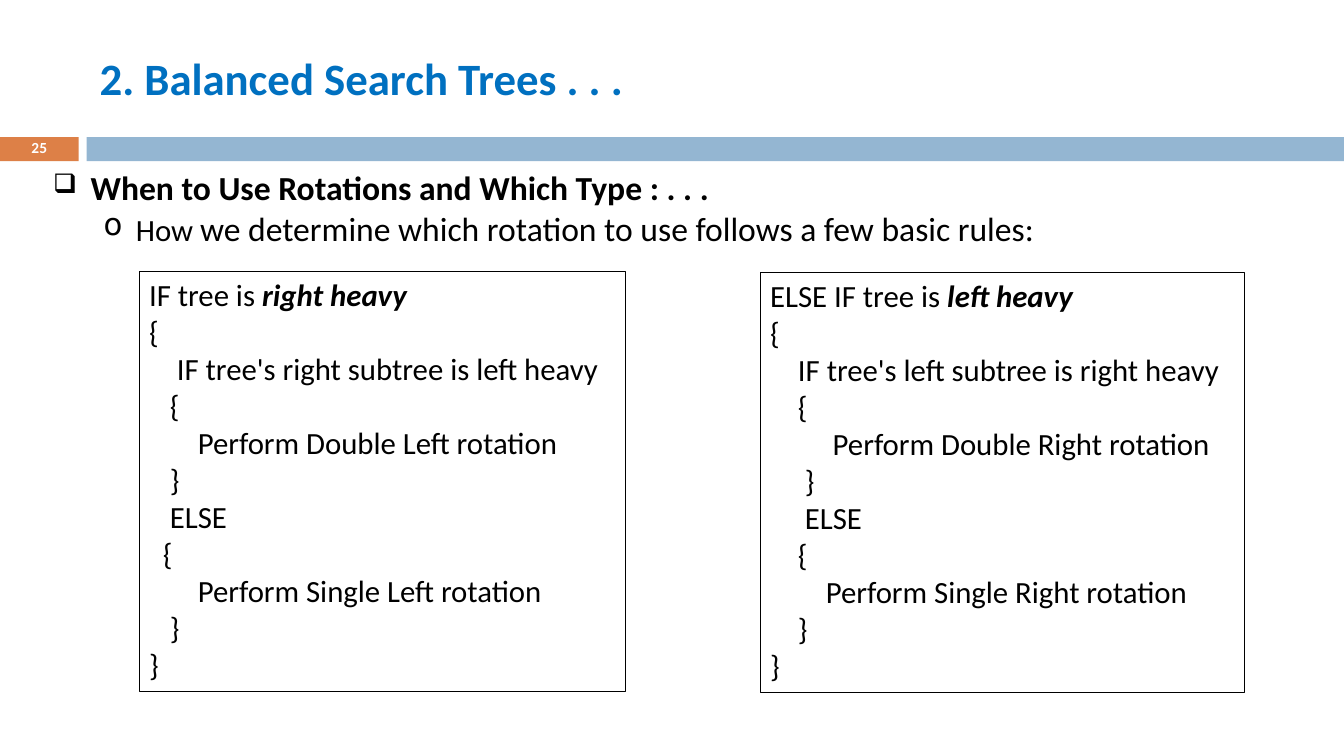
from lxml import etree
from pptx import Presentation
from pptx.dml.color import RGBColor
from pptx.enum.shapes import MSO_SHAPE
from pptx.enum.text import MSO_ANCHOR, PP_ALIGN
from pptx.oxml.ns import qn
from pptx.util import Inches, Pt

RECTANGLE = MSO_SHAPE.RECTANGLE
TOP, MIDDLE = MSO_ANCHOR.TOP, MSO_ANCHOR.MIDDLE
LEFT, CENTER = PP_ALIGN.LEFT, PP_ALIGN.CENTER

WIDTH, HEIGHT = 13.33, 7.28
FONT = "Calibri"
COLORS = {"title": "0070C0", "number": "DD8047", "band": "94B6D2",
          "text": "000000", "light": "FFFFFF"}
CODE_SIZE = 22
INDENT_STEP = 0.069  # inches per code column

# Code lines: (indent columns, text)
RIGHT_HEAVY = [(0, "{"), (4, "IF tree's right subtree is left heavy"), (3, "{"),
               (7, "Perform Double Left rotation"), (3, "}"), (3, "ELSE"),
               (2, "{"), (7, "Perform Single Left rotation"), (3, "}"), (0, "}")]
LEFT_HEAVY = [(0, "{"), (4, "IF tree's left subtree is right heavy"), (4, "{"),
              (9, "Perform Double Right rotation"), (5, "}"), (5, "ELSE"),
              (4, "{"), (8, "Perform Single Right rotation"), (4, "}"), (0, "}")]


def add_run(paragraph, text, size=24, color="text", bold=False, italic=False):
    run = paragraph.add_run()
    run.text = text
    font = run.font
    font.name, font.size = FONT, Pt(size)
    font.bold, font.italic = bold, italic
    font.color.rgb = RGBColor.from_string(COLORS[color])


def next_paragraph(frame, margin=0, hanging=0, bullet=None, bullet_size=100):
    """Return the first empty paragraph or a new one, indented in inches."""
    first = frame.paragraphs[0]
    paragraph = frame.add_paragraph() if first.runs else first
    paragraph.alignment = LEFT
    properties = paragraph._p.get_or_add_pPr()
    properties.set("marL", str(Inches(margin)))
    properties.set("indent", str(-Inches(hanging)))
    if bullet:
        etree.SubElement(properties, qn("a:buSzPct")).set("val", str(bullet_size * 1000))
        etree.SubElement(properties, qn("a:buChar")).set("char", bullet)
    return paragraph


def add_frame(slide, box, anchor=TOP):
    frame = slide.shapes.add_textbox(*map(Inches, box)).text_frame
    frame.word_wrap = True
    frame.vertical_anchor = anchor
    return frame


def add_rectangle(slide, box, fill=None, line=None):
    rectangle = slide.shapes.add_shape(RECTANGLE, *map(Inches, box))
    rectangle.shadow.inherit = False
    if fill:
        rectangle.fill.solid()
        rectangle.fill.fore_color.rgb = RGBColor.from_string(COLORS[fill])
    else:
        rectangle.fill.background()
    if line:
        rectangle.line.color.rgb = RGBColor.from_string(COLORS[line])
        rectangle.line.width = Pt(0.75)
    else:
        rectangle.line.fill.background()
    return rectangle


def add_divider(slide, box, number):
    """Number tab on the left, band across the rest."""
    left, top, width, height = box
    tab, gap = 0.78, 0.08
    tab_box = (left, top, tab, height)
    add_rectangle(slide, tab_box, fill="number")
    add_rectangle(slide, (left + tab + gap, top, width - tab - gap, height), fill="band")
    page = next_paragraph(add_frame(slide, tab_box, MIDDLE))
    page.alignment, page.line_spacing = CENTER, 0.8
    add_run(page, number, size=11, color="light", bold=True)


def add_title(slide, box, text):
    title = next_paragraph(add_frame(slide, box, MIDDLE), 0.38, 0.38)
    add_run(title, text, size=32, color="title", bold=True)


def add_intro(slide, box):
    intro = add_frame(slide, box)
    heading = next_paragraph(intro, 0.37, 0.37, "❑", 80)
    add_run(heading, "When to Use Rotations and Which Type : . . .", bold=True)
    rule = next_paragraph(intro, 0.82, 0.32, "o")
    add_run(rule, "How ", size=22)
    add_run(rule, "we determine which rotation to use follows a few basic rules:")


def add_code(slide, box, condition, case, lines):
    """Outlined box: a condition with its emphasised case, then the code."""
    code = add_rectangle(slide, box, line="text").text_frame
    code.word_wrap = True
    code.vertical_anchor = TOP
    opening = next_paragraph(code)
    add_run(opening, condition, size=CODE_SIZE)
    add_run(opening, case, size=CODE_SIZE, bold=True, italic=True)
    for columns, text in lines:
        add_run(next_paragraph(code, columns * INDENT_STEP), text, size=CODE_SIZE)


def main():
    deck = Presentation()
    deck.slide_width, deck.slide_height = Inches(WIDTH), Inches(HEIGHT)
    slide = deck.slides.add_slide(deck.slide_layouts[6])

    # Header
    add_divider(slide, (0, 1.36, WIDTH, 0.24), "25")
    add_title(slide, (0.89, 0.24, 11.89, 1.05), "2. Balanced Search Trees . . .")

    # Rules
    add_intro(slide, (0.43, 1.61, 12.64, 0.91))
    add_code(slide, (1.38, 2.69, 4.82, 4.17), "IF tree is ", "right heavy", RIGHT_HEAVY)
    add_code(slide, (7.54, 2.7, 4.8, 4.17), "ELSE IF tree is ", "left heavy", LEFT_HEAVY)

    deck.save("out.pptx")


if __name__ == "__main__":
    main()
